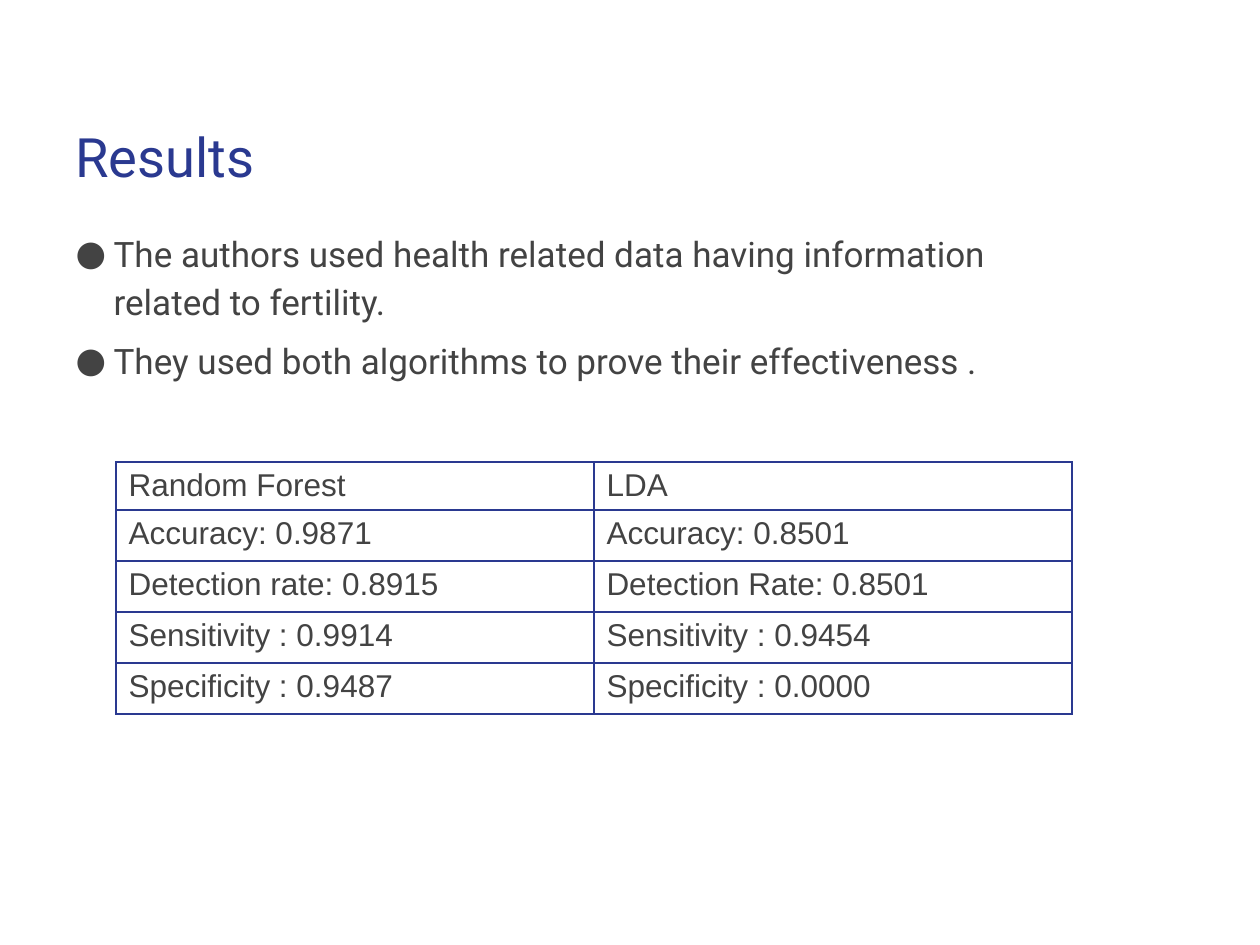
from lxml import etree
from pptx import Presentation
from pptx import util as u
from pptx.dml.color import RGBColor
from pptx.enum import text
from pptx.oxml.ns import qn

TITLE = "Results"
POINTS = [
    "The authors used health related data having information related to fertility.",
    "They used both algorithms to prove their effectiveness .",
]
ROWS = [
    ("Random Forest", "LDA"),
    ("Accuracy: 0.9871", "Accuracy: 0.8501"),
    ("Detection rate: 0.8915", "Detection Rate: 0.8501"),
    ("Sensitivity : 0.9914", "Sensitivity : 0.9454"),
    ("Specificity : 0.9487", "Specificity : 0.0000"),
]

NAVY = RGBColor(0x2A, 0x39, 0x90)
GREY = RGBColor(0x43, 0x43, 0x43)
PX = u.Inches(1) // 126
TITLE_BOX = (63, 38, 1029, 157)
BODY_BOX = (63, 220, 1029, 672)
TABLE_LEFT, TABLE_TOP, COLUMN_WIDTH = 116, 462, 478
HEADER_HEIGHT, ROW_HEIGHT = 32, 51
BULLET_INDENT = 38


def place(shape, box):
    shape.left, shape.top, shape.width, shape.height = (n * PX for n in box)


def format_runs(paragraph, font_name, size, color):
    for run in paragraph.runs:
        run.font.name = font_name
        run.font.size = u.Pt(size)
        run.font.color.rgb = color


def add_bullet(paragraph):
    properties = paragraph._p.get_or_add_pPr()
    properties.set("marL", str(BULLET_INDENT * PX))
    properties.set("indent", str(-BULLET_INDENT * PX))
    color = etree.SubElement(properties, qn("a:buClr"))
    etree.SubElement(color, qn("a:srgbClr"), val=str(GREY))
    etree.SubElement(properties, qn("a:buFont"), typeface="Roboto")
    etree.SubElement(properties, qn("a:buChar"), char="●")


def add_borders(cell):
    properties = cell._tc.get_or_add_tcPr()
    for position, side in enumerate("LRTB"):
        line = etree.Element(qn(f"a:ln{side}"), w=str(u.Pt(1)))
        fill = etree.SubElement(line, qn("a:solidFill"))
        etree.SubElement(fill, qn("a:srgbClr"), val=str(NAVY))
        properties.insert(position, line)


def add_title(slide):
    title = slide.shapes.title
    place(title, TITLE_BOX)
    frame = title.text_frame
    frame.text = TITLE
    frame.auto_size = text.MSO_AUTO_SIZE.NONE
    frame.vertical_anchor = text.MSO_ANCHOR.BOTTOM
    frame.paragraphs[0].alignment = text.PP_ALIGN.LEFT
    format_runs(frame.paragraphs[0], "Roboto", 31, NAVY)


def add_points(slide):
    body = slide.placeholders[1]
    place(body, BODY_BOX)
    frame = body.text_frame
    frame.text = "\n".join(POINTS)
    frame.auto_size = text.MSO_AUTO_SIZE.NONE
    for index, paragraph in enumerate(frame.paragraphs):
        paragraph.line_spacing = 1.15
        paragraph.space_before = u.Pt(6 if index else 0)
        add_bullet(paragraph)
        format_runs(paragraph, "Roboto", 20, GREY)


def add_results_table(slide):
    columns = len(ROWS[0])
    heights = [HEADER_HEIGHT] + [ROW_HEIGHT] * (len(ROWS) - 1)
    box = (TABLE_LEFT, TABLE_TOP, columns * COLUMN_WIDTH, sum(heights))
    table = slide.shapes.add_table(len(ROWS), columns, *(n * PX for n in box)).table
    table.first_row = table.horz_banding = False
    for row, height, values in zip(table.rows, heights, ROWS):
        row.height = height * PX
        for cell, value in zip(row.cells, values):
            cell.text = value
            cell.fill.background()
            add_borders(cell)
            format_runs(cell.text_frame.paragraphs[0], "Arial", 18, GREY)


def main():
    presentation = Presentation()
    presentation.slide_width, presentation.slide_height = u.Inches(10), u.Inches(7.5)
    slide = presentation.slides.add_slide(presentation.slide_layouts[1])
    add_title(slide)
    add_points(slide)
    add_results_table(slide)
    presentation.save("out.pptx")


if __name__ == "__main__":
    main()
